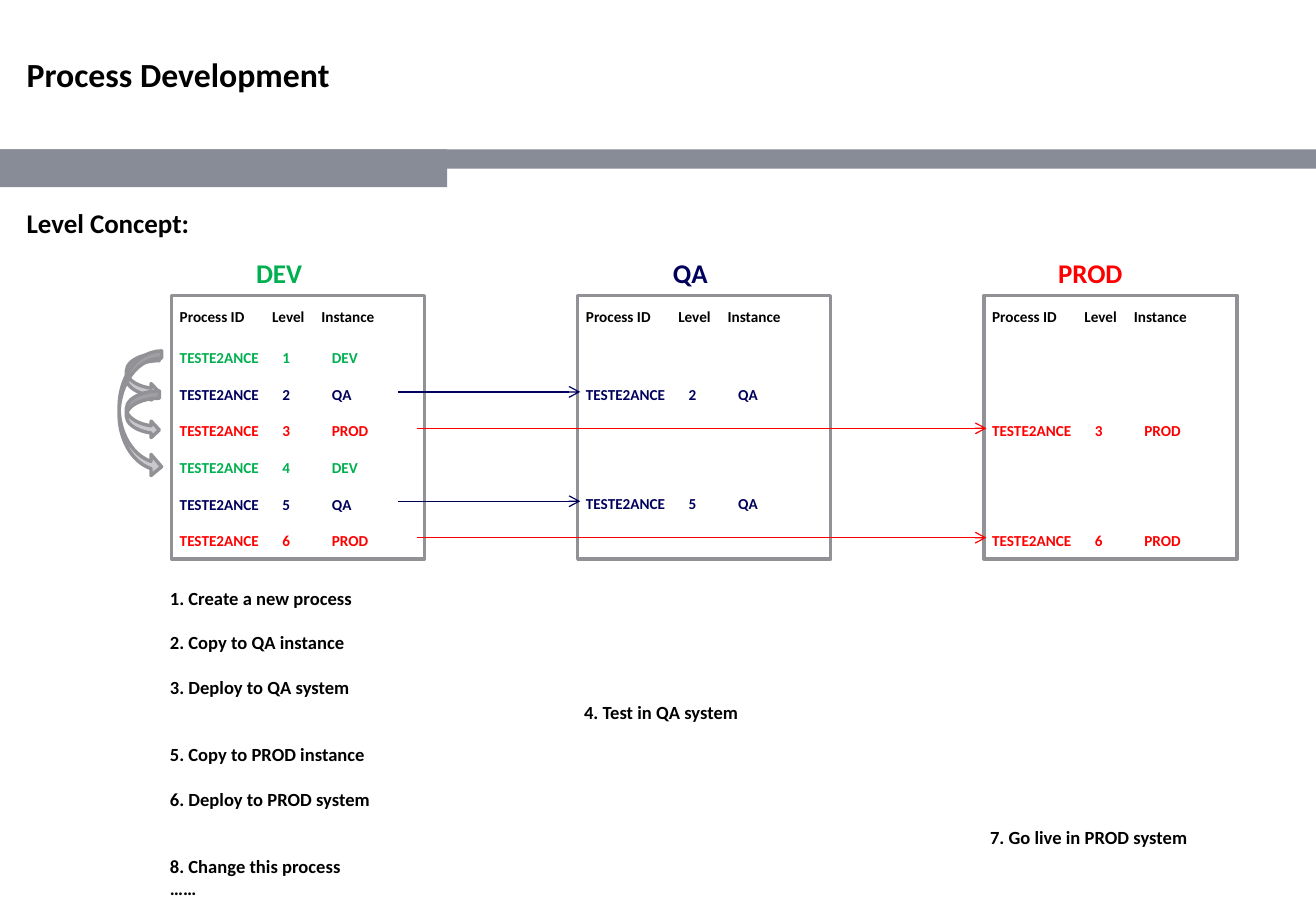
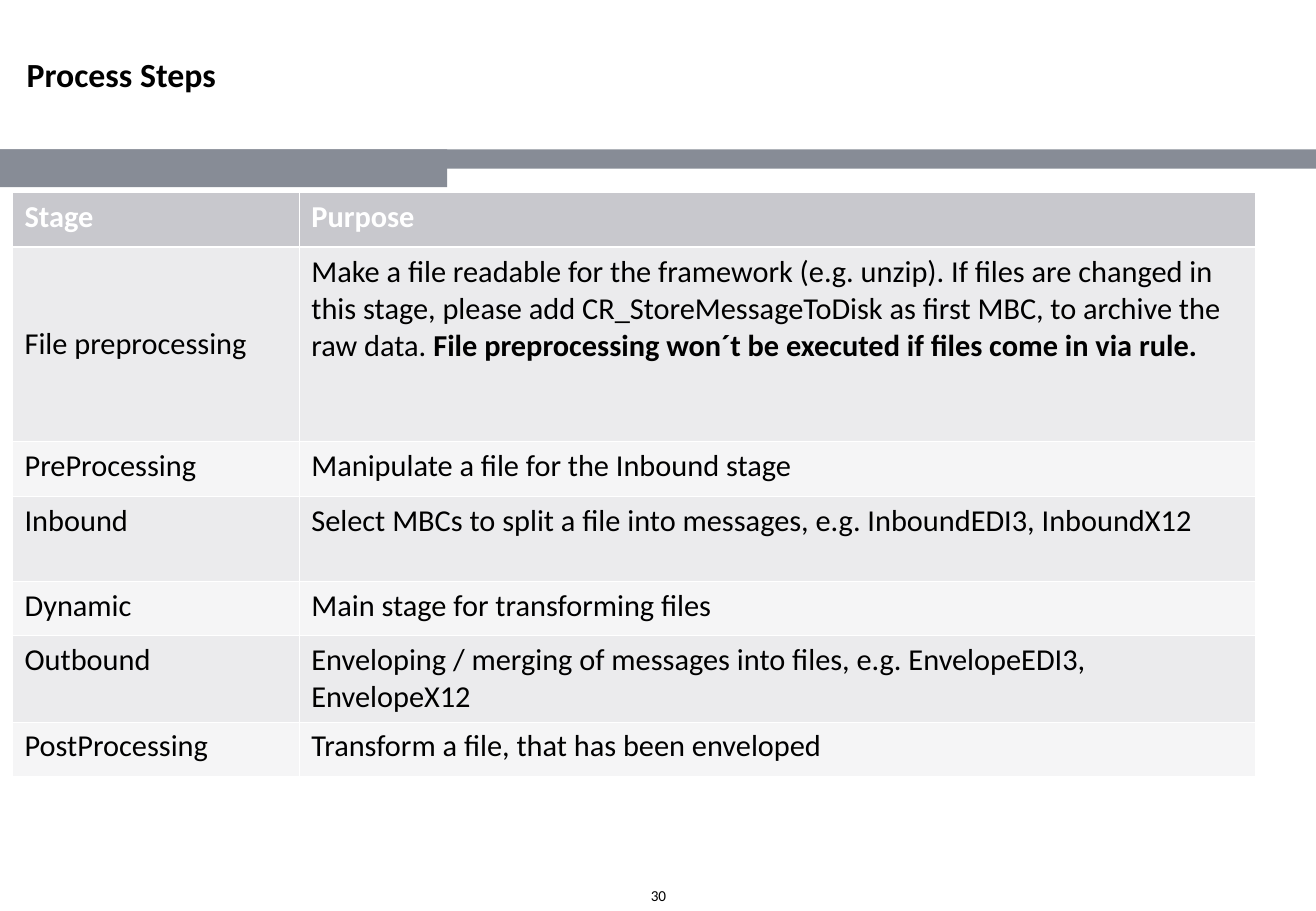
from dataclasses import dataclass

from lxml.etree import SubElement
from pptx import Presentation
from pptx.dml.color import RGBColor
from pptx.enum.shapes import MSO_CONNECTOR as Connector, MSO_SHAPE as Shape
from pptx.enum.text import MSO_ANCHOR as Anchor, MSO_AUTO_SIZE as AutoSize, PP_ALIGN as Align
from pptx.oxml.ns import qn
from pptx.util import Pt


@dataclass(frozen=True)
class Theme:
    font: str = "Calibri"
    text: str = "000000"
    white: str = "FFFFFF"
    band: str = "878C96"
    outline: str = "929296"
    accent: str = "C8C8CD"
    row_fills: tuple = ("EBEBED", "F5F5F6")
    title_size: int = 20
    table_size: int = 18
    heading_size: int = 16
    step_size: int = 11
    small_size: int = 9


THEME = Theme()
SLIDE_SIZE = (780.13, 540)
TITLE_BOX = (15.8, 31.7, 544.3, 51)
BANDS = [(0, 88.6, 780, 11.4), (0, 88.6, 265, 22.4)]

# System name, colour, left edge of its heading
SYSTEMS = [
    ("DEV", "00B050", 144.7),
    ("QA", "00005C", 391.9),
    ("PROD", "FF0000", 620.2),
]
COLUMNS = ("Process ID", "Level", "Instance")
PROCESS_ID = "TESTE2ANCE"
LEVELS = ["DEV", "QA", "PROD", "DEV", "QA", "PROD"]
DEPLOY_START = {"QA": 236.2, "PROD": 247.2}
COPY_ARROWS = [
    ((74.9, 209.5, 19.6, 28), 0.22),
    ((74.9, 231.8, 19.6, 28), 0.22),
    ((70.6, 208, 25.2, 75), 0.17),
]

# Box of each step list, then its steps with the line each one stands on
STEP_LISTS = [
    ((93.6, 344.2, 240, 190), [
        ("1. Create a new process", 0),
        ("2. Copy to QA instance", 2),
        ("3. Deploy to QA system", 4),
        ("5. Copy to PROD instance", 7),
        ("6. Deploy to PROD system", 9),
        ("8. Change this process", 12),
        ("……", 13),
    ]),
    ((339.1, 412.2, 190, 35), [("4. Test in QA system", 0)]),
    ((579.8, 486, 190, 35), [("7. Go live in PROD system", 0)]),
]

STAGES = [
    ("File preprocessing",
     "Make a file readable for the framework (e.g. unzip). If files are changed in this stage, "
     "please add CR_StoreMessageToDisk as first MBC, to archive the raw data. ",
     "File preprocessing won´t be executed if files come in via rule."),
    ("PreProcessing", "Manipulate a file for the Inbound stage"),
    ("Inbound", "Select MBCs to split a file into messages, e.g. InboundEDI3, InboundX12"),
    ("Dynamic", "Main stage for transforming files"),
    ("Outbound", "Enveloping / merging of messages into files, e.g. EnvelopeEDI3, EnvelopeX12"),
    ("PostProcessing", "Transform a file, that has been enveloped"),
]
STAGE_COLUMNS = (170, 566.8)
STAGE_ROWS = (32.3, 115.2, 32.3, 50.4, 32.3, 50.4, 32.3)

FRAME_LEFT, FRAME_TOP, FRAME_PITCH = 101.7, 175.2, 240.8
FRAME_SIZE = (150, 156.3)
HEADER_TABS, LEVEL_TABS = (54.7, 84), (60.9, 90.2)
LIST_TOP = 178.6
HEADER_TO_LEVELS, LEVEL_PITCH = 24.4, 21.6
SMALL_LINE, STEP_LINE = 10.75, 13.3
FIRST_LEVEL_Y = 212.3
ARROW_RISE = 1.6


def rgb(value):
    return RGBColor.from_string(value)


def points(values):
    return [Pt(value) for value in values]


def style(paragraph, size, color=THEME.text, bold=True):
    for run in paragraph.runs:
        font = run.font
        font.name, font.size, font.bold = THEME.font, Pt(size), bold
        font.color.rgb = rgb(color)


def set_margins(frame, horizontal, vertical):
    frame.margin_left = frame.margin_right = Pt(horizontal)
    frame.margin_top = frame.margin_bottom = Pt(vertical)


def add_text(slide, box, text="", size=THEME.small_size, color=THEME.text, bold=True,
             margins=(7.2, 3.6)):
    frame = slide.shapes.add_textbox(*points(box)).text_frame
    frame.word_wrap = True
    set_margins(frame, *margins)
    frame.text = text
    style(frame.paragraphs[0], size, color, bold)
    return frame


def add_box(slide, kind, box, fill=None, line=None):
    shape = slide.shapes.add_shape(kind, *points(box))
    shape.shadow.inherit = False
    if fill:
        shape.fill.solid()
        shape.fill.fore_color.rgb = rgb(fill)
    else:
        shape.fill.background()
    if line:
        shape.line.color.rgb = rgb(line)
        shape.line.width = Pt(2)
    else:
        shape.line.fill.background()
    return shape


def add_arrow(slide, start, end, color):
    arrow = slide.shapes.add_connector(Connector.STRAIGHT, *points(start + end))
    arrow.line.color.rgb = rgb(color)
    arrow.line.width = Pt(0.75)
    SubElement(arrow.line._get_or_add_ln(), qn("a:tailEnd"), type="arrow")
    SubElement(arrow._element.spPr, qn("a:effectLst"))


def set_tabs(paragraph, stops):
    tabs = SubElement(paragraph._p.get_or_add_pPr(), qn("a:tabLst"))
    for stop in stops:
        SubElement(tabs, qn("a:tab"), pos=str(Pt(stop)), algn="l")


def add_bands(layout, slide):
    """Draw the bands once and place them behind everything on the layout."""
    for index, box in enumerate(BANDS):
        band = add_box(slide, Shape.RECTANGLE, box, THEME.band)
        layout.shapes._spTree.insert(2 + index, band._element)


def add_titled_slide(prs, layout, text):
    slide = prs.slides.add_slide(layout)
    title = slide.shapes.title
    title.left, title.top, title.width, title.height = points(TITLE_BOX)
    frame = title.text_frame
    frame.auto_size, frame.vertical_anchor = AutoSize.NONE, Anchor.TOP
    set_margins(frame, 0, 0)
    frame.text = text
    frame.paragraphs[0].alignment = Align.LEFT
    style(frame.paragraphs[0], THEME.title_size)
    return slide


def add_system(slide, index, name, color, heading_left):
    """Draw one system with its levels and the arrows that deploy to it."""
    left = FRAME_LEFT + index * FRAME_PITCH
    add_box(slide, Shape.RECTANGLE, (left, FRAME_TOP, *FRAME_SIZE), line=THEME.outline)
    add_text(slide, (heading_left, 148.5, 84.2, 26.6), name, THEME.heading_size, color)

    levels = add_text(slide, (left - 2.2, LIST_TOP, 160, 152), "\t".join(COLUMNS))
    set_tabs(levels.paragraphs[0], HEADER_TABS)
    colors = {system: tone for system, tone, _ in SYSTEMS}
    previous = -HEADER_TO_LEVELS
    for row, instance in enumerate(LEVELS):
        if index and instance != name:
            continue
        offset = row * LEVEL_PITCH
        entry = levels.add_paragraph()
        entry.text = f"{PROCESS_ID}\t{row + 1}\t{instance}"
        set_tabs(entry, LEVEL_TABS)
        entry.space_before = Pt(round(offset - previous - SMALL_LINE, 2))
        style(entry, THEME.small_size, colors[instance])
        previous = offset
        if index:
            y = FIRST_LEVEL_Y + offset - ARROW_RISE
            add_arrow(slide, (DEPLOY_START[name], y), (left + 1.5, y), color)


def add_steps(slide, box, steps):
    frame = add_text(slide, box, steps[0][0], THEME.step_size)
    for (_, above), (step, line) in zip(steps, steps[1:]):
        paragraph = frame.add_paragraph()
        paragraph.text = step
        paragraph.space_before = Pt(round((line - above - 1) * STEP_LINE, 2))
        style(paragraph, THEME.step_size)


def build_development(slide):
    add_text(slide, (15.8, 122.4, 748.8, 33.8), "Level Concept:", THEME.heading_size,
             margins=(0, 0))
    for index, system in enumerate(SYSTEMS):
        add_system(slide, index, *system)
    for box, steps in STEP_LISTS:
        add_steps(slide, box, steps)
    for box, thickness in COPY_ARROWS:
        arrow = add_box(slide, Shape.CURVED_RIGHT_ARROW, box, THEME.accent, THEME.outline)
        arrow.adjustments[0] = thickness


def set_borders(cell, bottom, top):
    for side, width in (("L", 0.45), ("R", 0.45), ("T", top), ("B", bottom)):
        line = SubElement(cell._tc.get_or_add_tcPr(), qn(f"a:ln{side}"), w=str(Pt(width)))
        SubElement(SubElement(line, qn("a:solidFill")), qn("a:srgbClr"), val=THEME.white)


def fill_cell(cell, row, text, emphasis=""):
    header = row == 0
    set_borders(cell, bottom=1.47 if header else 0.45, top=1.47 if row == 1 else 0.45)
    cell.fill.solid()
    cell.fill.fore_color.rgb = rgb(THEME.accent if header else THEME.row_fills[(row - 1) % 2])
    cell.text_frame.text = text
    paragraph = cell.text_frame.paragraphs[0]
    style(paragraph, THEME.table_size, THEME.white if header else THEME.text, header)
    if emphasis:
        paragraph.add_run().text = emphasis
        style(paragraph, THEME.table_size, bold=False)
        paragraph.runs[-1].font.bold = True


def build_steps(slide):
    rows = [("Stage", "Purpose"), *STAGES]
    box = (7.4, 114.3, sum(STAGE_COLUMNS), sum(STAGE_ROWS))
    table = slide.shapes.add_table(len(rows), len(STAGE_COLUMNS), *points(box)).table
    table.horz_banding = False
    for column, width in zip(table.columns, STAGE_COLUMNS):
        column.width = Pt(width)
    for index, (height, (stage, *purpose)) in enumerate(zip(STAGE_ROWS, rows)):
        table.rows[index].height = Pt(height)
        fill_cell(table.cell(index, 0), index, stage)
        fill_cell(table.cell(index, 1), index, *purpose)
    table.cell(1, 0).vertical_anchor = Anchor.MIDDLE

    number = add_text(slide, (315.4, 527.4, 149.8, 7.2), "30", bold=False, margins=(0, 0))
    number.word_wrap, number.vertical_anchor = False, Anchor.MIDDLE
    number.paragraphs[0].alignment = Align.CENTER


def main():
    prs = Presentation()
    prs.slide_width, prs.slide_height = points(SLIDE_SIZE)
    layout = prs.slide_layouts[5]
    development = add_titled_slide(prs, layout, "Process Development")
    add_bands(layout, development)
    build_development(development)
    build_steps(add_titled_slide(prs, layout, "Process Steps"))
    prs.save("out.pptx")


if __name__ == "__main__":
    main()
